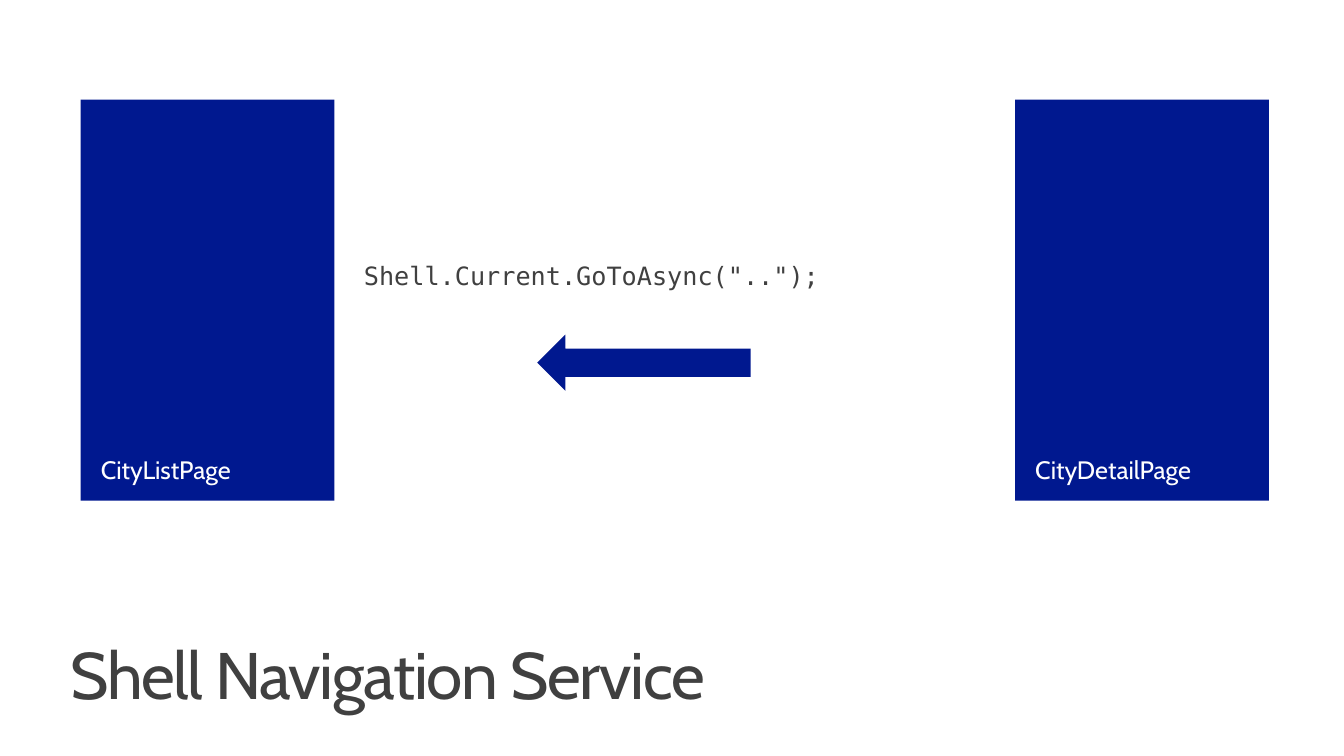
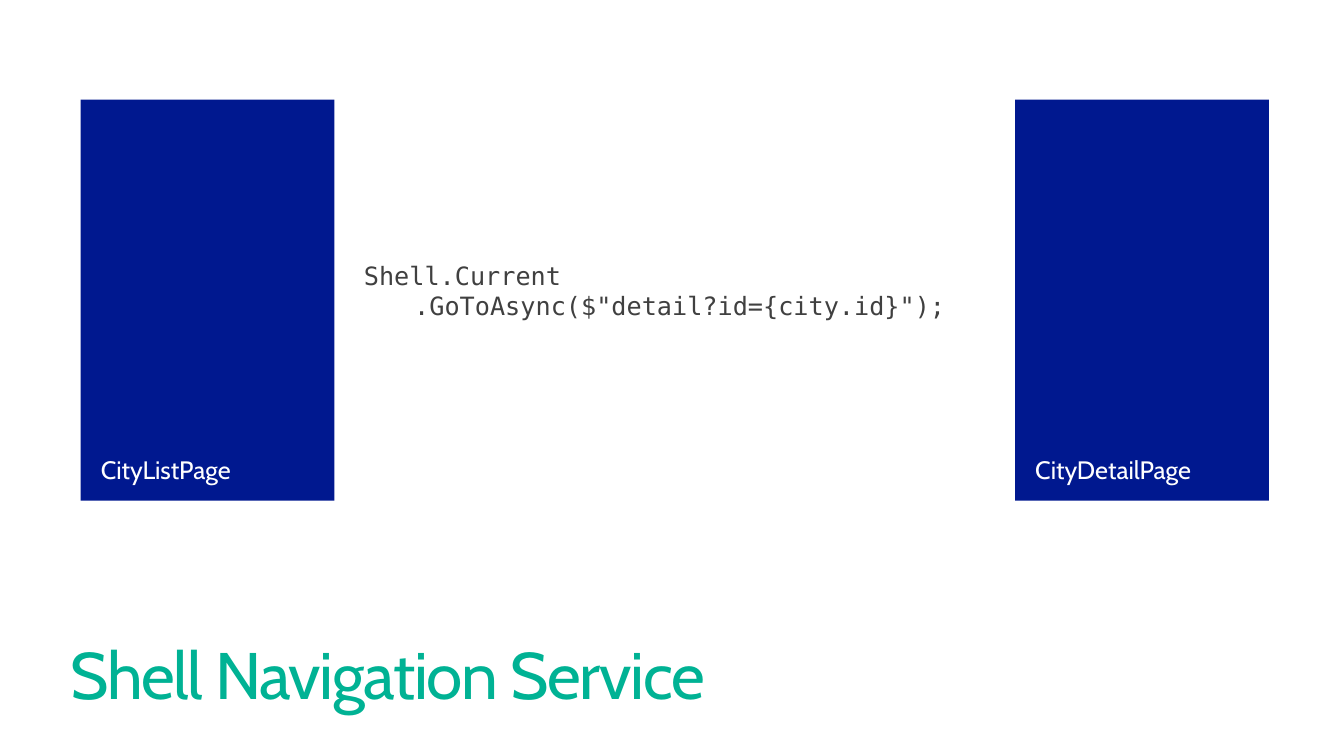
"""Build two slides on navigating between pages with the Shell service."""
from dataclasses import dataclass

from pptx import Presentation
from pptx.dml.color import RGBColor
from pptx.enum.shapes import MSO_SHAPE
from pptx.enum.text import MSO_ANCHOR, MSO_AUTO_SIZE, PP_ALIGN
from pptx.shapes.autoshape import Shape
from pptx.slide import Slide
from pptx.text.text import _Paragraph as Paragraph
from pptx.util import Cm, Pt


@dataclass(frozen=True)
class Theme:
    navy: RGBColor = RGBColor(0x00, 0x18, 0x8F)
    teal: RGBColor = RGBColor(0x00, 0xB2, 0x94)
    ink: RGBColor = RGBColor(0x40, 0x40, 0x40)
    white: RGBColor = RGBColor(0xFF, 0xFF, 0xFF)
    sans: str = "Cabin"
    mono: str = "DejaVu Sans Mono"
    title_size: int = 47
    text_size: int = 18
    line_spacing: float = 0.9
    title_tracking: int = -100


@dataclass(frozen=True)
class Box:
    left: float
    top: float
    width: float
    height: float

    def lengths(self) -> tuple[Cm, Cm, Cm, Cm]:
        return Cm(self.left), Cm(self.top), Cm(self.width), Cm(self.height)


@dataclass(frozen=True)
class PageCard:
    name: str
    box: Box


@dataclass(frozen=True)
class NavigationStep:
    title_color: RGBColor
    code: tuple[str, ...]
    code_height: float
    goes_back: bool


THEME = Theme()
TITLE = "Shell Navigation Service"
TITLE_BOX = Box(1.52, 16.05, 30.78, 1.98)
BACK_ARROW_BOX = Box(13.54, 8.43, 5.38, 1.42)
PAGES = tuple(
    PageCard(name, Box(left, 2.51, 6.4, 10.11))
    for name, left in (("CityListPage", 2.03), ("CityDetailPage", 25.58))
)
STEPS = (
    NavigationStep(THEME.ink, ('Shell.Current.GoToAsync("..");',), 1.02, True),
    NavigationStep(
        THEME.teal,
        ("Shell.Current", '\t.GoToAsync($"detail?id={city.id}");'),
        1.8,
        False,
    ),
)


def style(paragraph: Paragraph, font: str, size: int, color: RGBColor) -> None:
    paragraph.alignment = PP_ALIGN.LEFT
    paragraph.font.name = font
    paragraph.font.size = Pt(size)
    paragraph.font.color.rgb = color


def set_title(slide: Slide, color: RGBColor) -> None:
    title = slide.shapes.title
    title.left, title.top, title.width, title.height = TITLE_BOX.lengths()
    frame = title.text_frame
    frame.text = TITLE
    frame.auto_size = MSO_AUTO_SIZE.NONE
    frame.vertical_anchor = MSO_ANCHOR.TOP
    frame.margin_top = Cm(0.15)
    heading = frame.paragraphs[0]
    style(heading, THEME.sans, THEME.title_size, color)
    heading.line_spacing = THEME.line_spacing
    for run in heading.runs:
        run._r.get_or_add_rPr().set("spc", str(THEME.title_tracking))


def add_code(slide: Slide, step: NavigationStep) -> None:
    box = Box(8.92, 6.43, 16.0, step.code_height)
    frame = slide.shapes.add_textbox(*box.lengths()).text_frame
    frame.word_wrap = True
    frame.auto_size = MSO_AUTO_SIZE.SHAPE_TO_FIT_TEXT
    frame.text = "\n".join(step.code)
    for line in frame.paragraphs:
        style(line, THEME.mono, THEME.text_size, THEME.ink)


def add_navy_shape(slide: Slide, kind: MSO_SHAPE, box: Box) -> Shape:
    shape = slide.shapes.add_shape(kind, *box.lengths())
    shape.shadow.inherit = False
    shape.fill.solid()
    shape.fill.fore_color.rgb = THEME.navy
    shape.line.fill.background()
    return shape


def add_page(slide: Slide, page: PageCard) -> None:
    frame = add_navy_shape(slide, MSO_SHAPE.RECTANGLE, page.box).text_frame
    frame.text = page.name
    frame.word_wrap = True
    frame.vertical_anchor = MSO_ANCHOR.BOTTOM
    frame.margin_left = frame.margin_right = Cm(0.51)
    frame.margin_top = frame.margin_bottom = Cm(0.41)
    label = frame.paragraphs[0]
    style(label, THEME.sans, THEME.text_size, THEME.white)
    label.line_spacing = THEME.line_spacing


def main() -> None:
    deck = Presentation()
    deck.slide_width, deck.slide_height = Cm(33.87), Cm(19.05)
    title_only = deck.slide_layouts.get_by_name("Title Only")
    for step in STEPS:
        slide = deck.slides.add_slide(title_only)
        set_title(slide, step.title_color)
        add_code(slide, step)
        for page in PAGES:
            add_page(slide, page)
        if step.goes_back:
            add_navy_shape(slide, MSO_SHAPE.LEFT_ARROW, BACK_ARROW_BOX)
    deck.save("out.pptx")


main()
